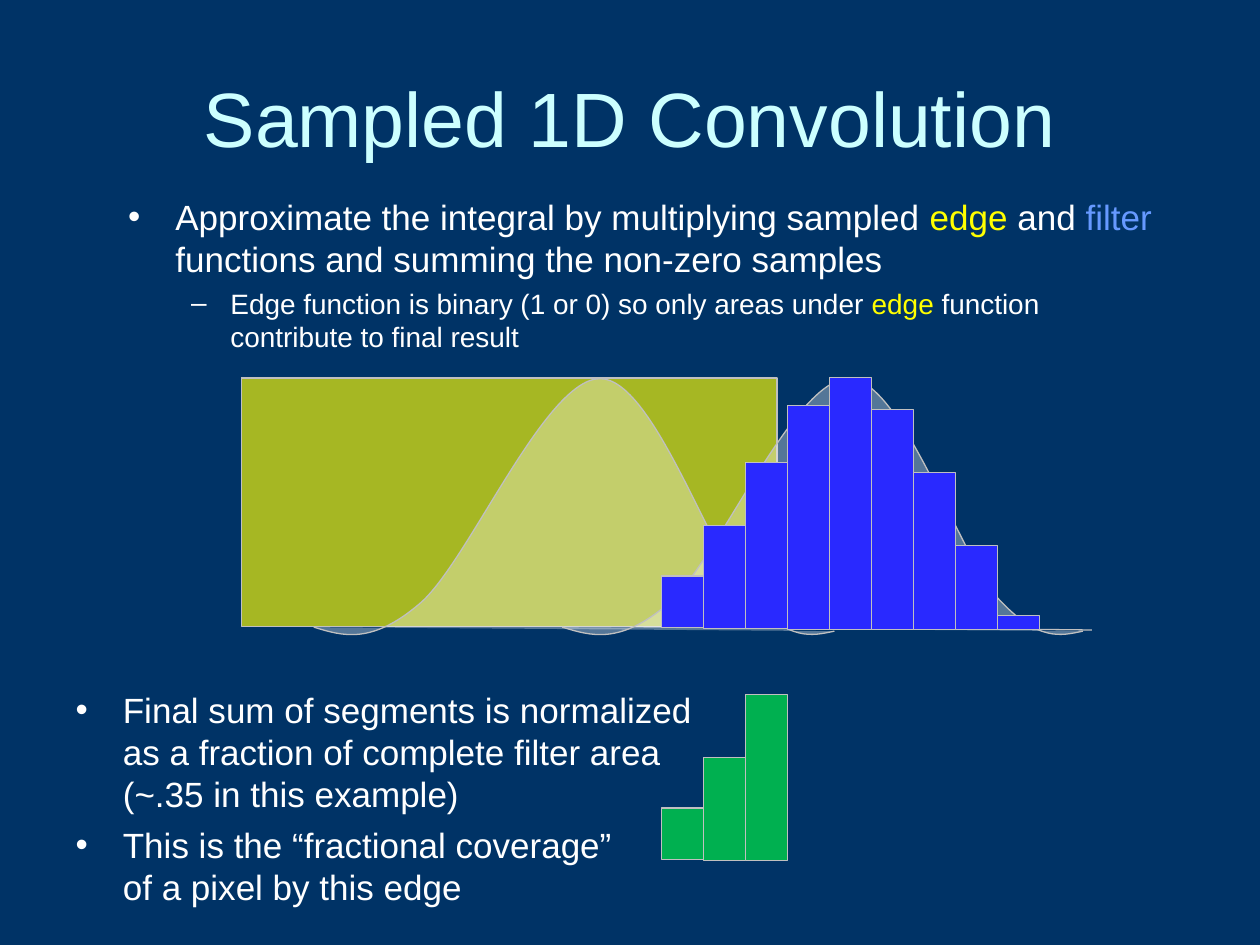
import pptx
import pptx.dml.color
import pptx.enum.shapes
import pptx.enum.text
import pptx.oxml
import pptx.oxml.ns
import pptx.util

Pt = pptx.util.Pt
RGB = pptx.dml.color.RGBColor
SHAPE = pptx.enum.shapes.MSO_SHAPE
TEXT = pptx.enum.text

NAVY = RGB(0x00, 0x33, 0x66)
CYAN = RGB(0xCC, 0xFF, 0xFF)
WHITE = RGB(0xFF, 0xFF, 0xFF)
YELLOW = RGB(0xFF, 0xFF, 0x00)
SKY = RGB(0x66, 0x99, 0xFF)
BLUE = RGB(0x29, 0x29, 0xFF)
GREEN = RGB(0x00, 0xB0, 0x50)
GRAY = RGB(0xC0, 0xC0, 0xC0)

# Level: bullet, format, left margin and hanging indent
LEVELS = [
    ("•", {"level": 0, "space_before": Pt(5), "line_spacing": 1.0}, 27, -27),
    ("–", {"level": 1, "space_before": Pt(4), "line_spacing": 1.0}, 58.5, -22.5),
]
SIZES = [20, 16]

POINTS = [
    (0, [("Approximate the integral by multiplying sampled ", WHITE),
         ("edge", YELLOW), (" and ", WHITE), ("filter", SKY),
         (" functions and summing the non-zero samples", WHITE)]),
    (1, [("Edge function is binary (1 or 0) so only areas under ", WHITE),
         ("edge", YELLOW),
         (" function contribute to final result", WHITE)]),
]
RESULTS = [
    (0, [("Final sum of segments is normalized \n"
          "as a fraction of complete filter area \n"
          "(~.35 in this example)", WHITE)]),
    (0, [("This is the “fractional coverage” \n"
          "of a pixel by this edge", WHITE)]),
]

# Height of each sample and the drop of its foot below the first one
SAMPLES = [(29.5, 0), (59, 0.6), (95, 0.6), (128, 1.2), (144, 1.2),
           (126, 1.2), (90, 1.2), (48, 1.2), (8, 1.2)]
STEP = 24

# Filter outline: its start, then two handles and an end for each Bezier
START = (0, 142.4)
CURVE = [
    (16.5, 147.5), (33, 152.5), (60.5, 129),
    (88, 106), (132, 0.6), (163.5, 0.4),
    (194, 0), (227, 102), (249.5, 126.5),
    (272, 150.5), (284.5, 147.5), (297.5, 144.7),
]


def put(item, values):
    for name, value in values.items():
        setattr(item, name, value)


def node(tag, **attrs):
    part = pptx.oxml.parse_xml(f"<a:{tag} {pptx.oxml.ns.nsdecls('a')}/>")
    for name, value in attrs.items():
        part.set(name, str(value))
    return part


def paint(shape, color, alpha=100):
    shape.shadow.inherit = False
    shape.fill.solid()
    shape.fill.fore_color.rgb = color
    shape.line.color.rgb = GRAY
    shape.line.width = Pt(0.75)
    if alpha < 100:
        fill = shape.fill.fore_color._xFill
        fill[0].append(node("alpha", val=alpha * 1000))


def place(holder, box, anchor):
    put(holder, dict(zip(("left", "top", "width", "height"), map(Pt, box))))
    put(holder.text_frame, {"word_wrap": True, "vertical_anchor": anchor,
                            "auto_size": TEXT.MSO_AUTO_SIZE.NONE})
    return holder.text_frame


def write(para, text, size, color):
    """Add text to a paragraph, with a line break at each newline."""
    for i, line in enumerate(text.split("\n")):
        if i:
            para.add_line_break()
        run = para.add_run()
        run.text = line
        put(run.font, {"name": "Arial", "size": Pt(size)})
        run.font.color.rgb = color


def title(holder, box, text):
    para = place(holder, box, TEXT.MSO_ANCHOR.MIDDLE).paragraphs[0]
    para.alignment = TEXT.PP_ALIGN.CENTER
    write(para, text, 44, CYAN)


def bullets(holder, box, items):
    frame = place(holder, box, TEXT.MSO_ANCHOR.TOP)
    for i, (level, runs) in enumerate(items):
        para = frame.add_paragraph() if i else frame.paragraphs[0]
        mark, form, left, hang = LEVELS[level]
        put(para, form)
        props = para._p.get_or_add_pPr()
        props.set("marL", str(Pt(left)))
        props.set("indent", str(Pt(hang)))
        tint = node("buClr")
        tint.append(node("srgbClr", val=WHITE))
        props.extend([tint, node("buFont", typeface="Arial"),
                      node("buChar", char=mark)])
        for text, color in runs:
            write(para, text, SIZES[level], color)


def block(shapes, box, color, alpha=100):
    paint(shapes.add_shape(SHAPE.RECTANGLE, *map(Pt, box)), color, alpha)


def bars(shapes, left, foot, samples, color):
    for i, (high, drop) in enumerate(samples):
        block(shapes, (left + i * STEP, foot + drop - high, STEP, high), color)


def rule(shapes, *ends):
    line = shapes.add_connector(
        pptx.enum.shapes.MSO_CONNECTOR.STRAIGHT, *map(Pt, ends))
    line.line.color.rgb = GRAY
    line.line.width = Pt(0.75)
    line._element.spPr.append(node("effectLst"))


def bend(shape):
    """Turn each three line segments of a freeform into one Bezier curve."""
    lines = list(shape._element.iter(pptx.oxml.ns.qn("a:lnTo")))
    for i in range(0, len(lines), 3):
        curve = node("cubicBezTo")
        lines[i].addprevious(curve)
        for line in lines[i:i + 3]:
            curve.append(line[0])
            line.getparent().remove(line)


def bell(shapes, left, top):
    start, *dots = [(Pt(left + x), Pt(top + y)) for x, y in [START, *CURVE]]
    pen = shapes.build_freeform(*start)
    pen.add_line_segments(dots, close=False)
    shape = pen.convert_to_shape()
    bend(shape)
    paint(shape, WHITE, 33)


def graph(shapes, left, top, wide, high):
    """Draw the edge, two filter positions and the filter samples."""
    block(shapes, (left, top, 306, 142), YELLOW, 65)
    rule(shapes, left, top, left + 301, top)
    rule(shapes, left + 301, top + 142, left + wide, top + high)
    for shift in (41.3, 183.3):
        bell(shapes, left + shift, top)
    bars(shapes, left + 240, top + 142.7, SAMPLES, BLUE)


def main():
    deck = pptx.Presentation()
    put(deck, {"slide_width": Pt(720), "slide_height": Pt(540)})
    slide = deck.slides.add_slide(deck.slide_layouts.get_by_name("Two Content"))
    slide.background.fill.solid()
    slide.background.fill.fore_color.rgb = NAVY
    head, body, final = list(slide.placeholders)[:3]
    title(head, (36, 21.6, 648, 90), "Sampled 1D Convolution")
    bullets(body, (66, 108, 606, 102), POINTS)
    graph(slide.shapes, 138, 216, 486, 144)
    bars(slide.shapes, 378, 491.3, SAMPLES[:3], GREEN)
    bullets(final, (36, 390, 606, 102), RESULTS)
    deck.save("out.pptx")


if __name__ == "__main__":
    main()
